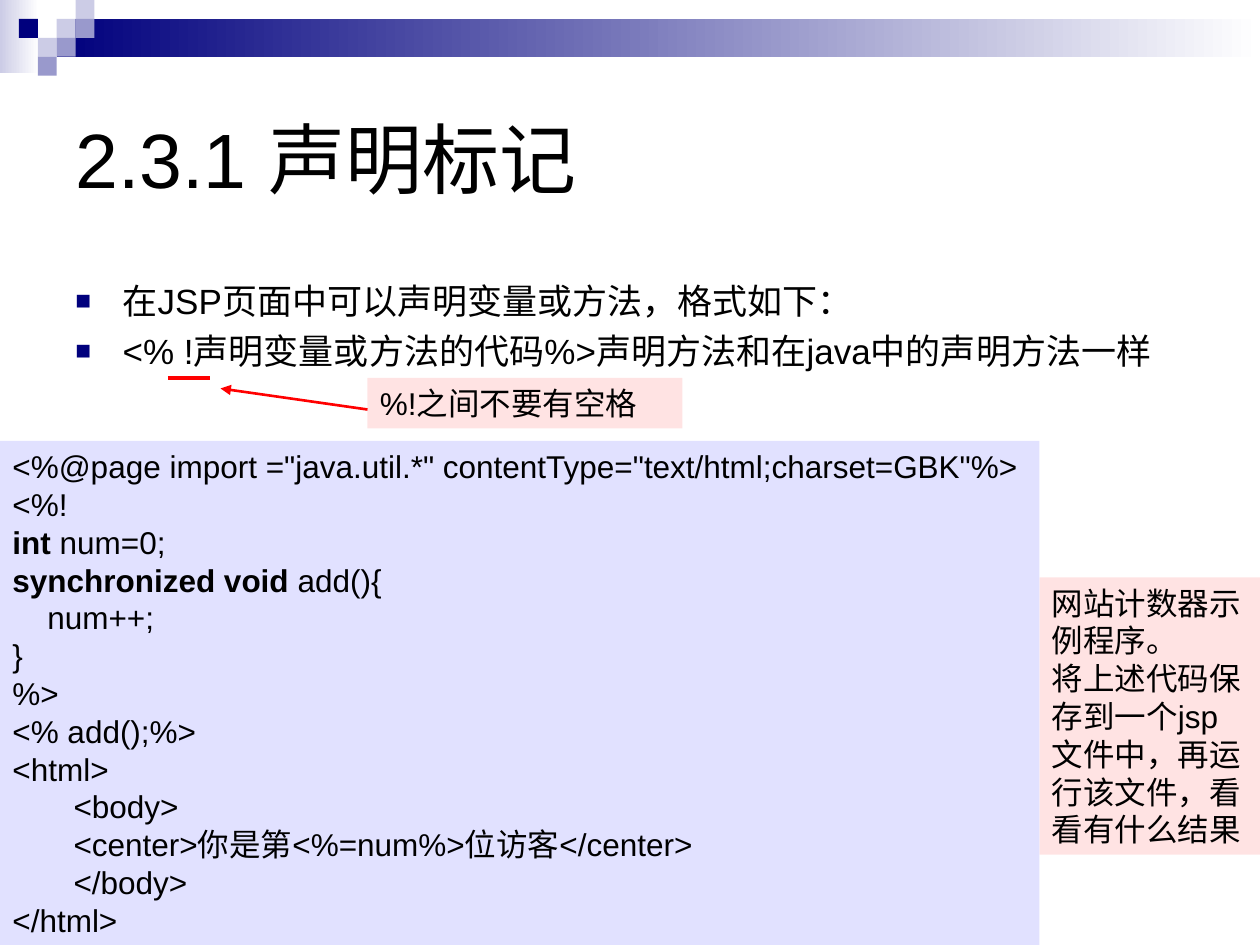
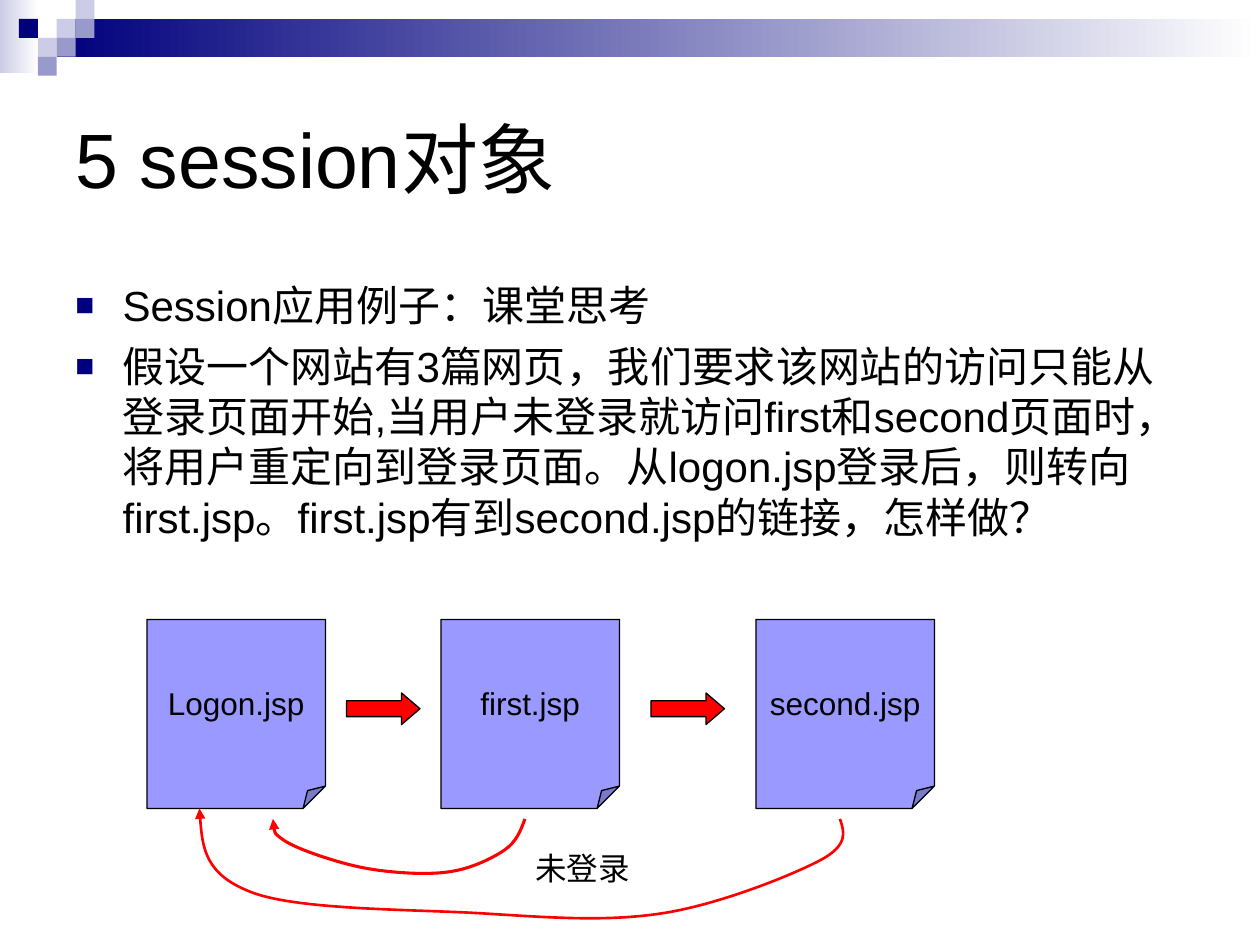
from lxml import etree
from pptx import Presentation, util as u
from pptx.dml.color import RGBColor
from pptx.enum import shapes, text
from pptx.oxml.ns import qn

COLORS = {
    "navy": "00007D", "mist": "CCCCE6", "slate": "9999CC", "page": "9999FF",
    "red": "FF0000", "ink": "000000", "white": "FFFFFF",
}
FONT = "Arial"
COLS, ROWS = 120, 90
CELL = u.Inches(10) // COLS
TITLE_BOX = (6, 6, 108, 18)
BODY_BOX = (6, 26, 108, 51)
BAND_BOX = (0, 0, COLS, 7)
TILE = 1.8  # side of a mosaic tile, in grid cells
MOSAIC = [(3, 1, "mist"), (4, 0, "mist"), (4, 1, "slate"), (2, 2, "mist"),
          (1, 1, "navy"), (3, 2, "slate"), (2, 3, "slate")]


def cells(*counts):
    return [round(count * CELL) for count in counts]


def rgb(name):
    return RGBColor.from_string(COLORS[name])


def add_child(parent, tag, **attributes):
    return etree.SubElement(parent, qn(tag), attributes)


def style(paragraph, size):
    paragraph.font.name = FONT
    paragraph.font.size = u.Pt(size)
    paragraph.font.color.rgb = rgb("ink")


def add_block(slide, box, kind, fill=None, opacity=None, outline=None):
    block = slide.shapes.add_shape(kind, *cells(*box))
    block.shadow.inherit = False
    if fill:
        block.fill.solid()
        block.fill.fore_color.rgb = rgb(fill)
    if opacity:
        color = block._element.spPr.find(".//" + qn("a:srgbClr"))
        add_child(color, "a:alpha", val=str(opacity * 1000))
    if outline:
        block.line.color.rgb = rgb(outline)
        block.line.width = u.Pt(0.75)
    else:
        block.line.fill.background()
    return block


def write(shape, lines, size=18, wrap=True, align=text.PP_ALIGN.LEFT,
          anchor=text.MSO_ANCHOR.TOP):
    """Fill a shape with lines; a (bold, plain) pair makes two runs."""
    frame = shape.text_frame
    frame.word_wrap = wrap
    frame.vertical_anchor = anchor
    for index, line in enumerate(lines):
        paragraph = frame.add_paragraph() if index else frame.paragraphs[0]
        paragraph.alignment = align
        style(paragraph, size)
        bold, plain = line if isinstance(line, tuple) else ("", line)
        if bold:
            keyword = paragraph.add_run()
            keyword.text = bold
            keyword.font.bold = True
        paragraph.add_run().text = plain


def add_fade(slide, box, start):
    fade = add_block(slide, box, shapes.MSO_SHAPE.RECTANGLE)
    fade.fill.gradient()
    fade.fill.gradient_angle = 0
    for stop, name in zip(fade.fill.gradient_stops, (start, "white")):
        stop.color.rgb = rgb(name)


def add_band(slide, box):
    left, top, width, height = box
    add_fade(slide, (left, top, 3.7, height), "mist")
    indent = 3 * TILE
    add_fade(slide, (left + indent, top + TILE, width - indent, 2 * TILE), "navy")
    for column, row, name in MOSAIC:
        add_block(slide, (left + column * TILE, top + row * TILE, TILE, TILE),
                  shapes.MSO_SHAPE.RECTANGLE, name)


def add_title(slide, box, heading):
    title = slide.shapes.title
    title.left, title.top, title.width, title.height = cells(*box)
    title.text_frame.auto_size = text.MSO_AUTO_SIZE.NONE
    write(title, [heading], 44, anchor=text.MSO_ANCHOR.MIDDLE)


def add_bullets(slide, box, points, size):
    body = slide.shapes.add_textbox(*cells(*box))
    write(body, points, size)
    for index, paragraph in enumerate(body.text_frame.paragraphs):
        paragraph.space_before = u.Pt(size / 4 if index else 0)
        # Bullet elements precede the default run properties
        props = paragraph._p.get_or_add_pPr()
        defaults = props.find(qn("a:defRPr"))
        props.set("marL", str(u.Inches(0.375)))
        props.set("indent", str(-u.Inches(0.375)))
        add_child(add_child(props, "a:buClr"), "a:srgbClr", val=COLORS["navy"])
        add_child(props, "a:buSzPct", val="75000")
        add_child(props, "a:buFont", typeface=FONT)
        add_child(props, "a:buChar", char="■")
        if defaults is not None:
            props.append(defaults)


def add_panel(slide, box, lines, fill, opacity):
    panel = add_block(slide, box, shapes.MSO_SHAPE.RECTANGLE, fill, opacity)
    write(panel, lines)


def draw_red(stroke, width, arrow=True):
    stroke.line.color.rgb = rgb("red")
    stroke.line.width = u.Pt(width)
    if arrow:
        add_child(stroke.line._get_or_add_ln(), "a:tailEnd", type="triangle")


def add_line(slide, start, end, width, arrow):
    line = slide.shapes.add_connector(shapes.MSO_CONNECTOR.STRAIGHT,
                                      *cells(*start, *end))
    draw_red(line, width, arrow)
    add_child(line._element.spPr, "a:effectLst")


def add_curve(slide, origin, points, width):
    """Draw Bézier arcs: a start, then two handles and an end for each arc."""
    start, *rest = [cells(origin[0] + x, origin[1] + y) for x, y in points]
    builder = slide.shapes.build_freeform(*start)
    builder.add_line_segments(rest, close=False)
    curve = builder.convert_to_shape()
    steps = curve._element.xpath(".//a:lnTo")
    for first in range(0, len(steps), 3):
        arc = etree.Element(qn("a:cubicBezTo"))
        steps[first].addprevious(arc)
        for step in steps[first:first + 3]:
            arc.append(step[0])
            step.getparent().remove(step)
    curve.shadow.inherit = False
    curve.fill.background()
    draw_red(curve, width)


def add_callout(slide, box):
    left, top, width, height = box
    add_panel(slide, box, ["%!之间不要有空格"], "red", 11)
    add_line(slide, (left - 19, top), (left - 15, top), 1.75, False)
    add_line(slide, (left, top + 3), (left - 14, top + 1), 1.5, True)


def add_page_flow(slide, box):
    left, top, width, height = box
    page_width, page_height = 17, 18
    for offset, name in ((0, "Logon.jsp"), (28, "first.jsp"), (58, "second.jsp")):
        page = add_block(slide, (left + offset, top, page_width, page_height),
                         shapes.MSO_SHAPE.FOLDED_CORNER, "page", outline="ink")
        fold = page._element.spPr.find(".//" + qn("a:avLst"))
        add_child(fold, "a:gd", name="adj", fmla="val 12500")
        write(page, [name], wrap=False, align=text.PP_ALIGN.CENTER,
              anchor=text.MSO_ANCHOR.MIDDLE)
    for offset in (19, 48):
        arrow = add_block(slide, (left + offset, top + 7, 7, 3),
                          shapes.MSO_SHAPE.RIGHT_ARROW, "red", outline="ink")
        arrow.adjustments[1] = 0.583

    below = (left, top + page_height)
    add_curve(slide, below, [
        (36, 1), (35.6, 2.1), (35.2, 3.2), (34, 4), (32.8, 4.8), (30.9, 5.7), (29, 6),
        (27.2, 6.3), (24.9, 6.2), (23, 6), (21.1, 5.8), (19.7, 5.5), (18, 5),
        (16.3, 4.5), (14, 3.7), (13, 3), (12, 2.3), (12, 1.7), (12, 1)], 1.75)
    add_curve(slide, below, [
        (66, 1), (66.4, 2.2), (66.9, 3.5), (64, 5), (61.1, 6.5), (54.3, 9.2), (49, 10),
        (43.7, 10.8), (38.5, 10.4), (32, 10), (25.5, 9.6), (14.5, 9.7), (10, 8),
        (5.5, 6.3), (5.2, 3.2), (5, 0)], 1.5)
    label = slide.shapes.add_textbox(*cells(left + 35.8, top + 21.3, 11.4, 4.8))
    write(label, ["未登录"], wrap=False)


def new_slide(deck, heading):
    slide = deck.slides.add_slide(deck.slide_layouts[5])
    add_band(slide, BAND_BOX)
    add_title(slide, TITLE_BOX, heading)
    return slide


def declaration_slide(deck):
    slide = new_slide(deck, "2.3.1 声明标记")
    add_bullets(slide, BODY_BOX, [
        "在JSP页面中可以声明变量或方法，格式如下：",
        "<% !声明变量或方法的代码%>声明方法和在java中的声明方法一样"], 20)
    add_callout(slide, (35, 36, 30, 4.8))
    add_panel(slide, (0, 42, 99, 48), [
        '<%@page import ="java.util.*" contentType="text/html;charset=GBK"%>',
        "<%!",
        ("int", " num=0;"),
        ("synchronized void", " add(){"),
        "    num++;",
        "}",
        "%>",
        "<% add();%>",
        "<html>",
        "       <body>",
        "       <center>你是第<%=num%>位访客</center>",
        "       </body>",
        "</html>"], "page", 29)
    add_panel(slide, (99, 55, 21, 26.4), [
        "网站计数器示例程序。",
        "将上述代码保存到一个jsp文件中，再运行该文件，看看有什么结果"], "red", 11)


def session_slide(deck):
    slide = new_slide(deck, "5 session对象")
    add_bullets(slide, BODY_BOX, [
        "Session应用例子：课堂思考",
        "假设一个网站有3篇网页，我们要求该网站的访问只能从登录页面开始,"
        "当用户未登录就访问first和second页面时，将用户重定向到登录页面。"
        "从logon.jsp登录后，则转向first.jsp。first.jsp有到second.jsp的链接，怎样做？"], 24)
    add_page_flow(slide, (14, 59, 75, 29))


def main():
    deck = Presentation()
    deck.slide_width, deck.slide_height = COLS * CELL, ROWS * CELL
    declaration_slide(deck)
    session_slide(deck)
    deck.save("out.pptx")


if __name__ == "__main__":
    main()
